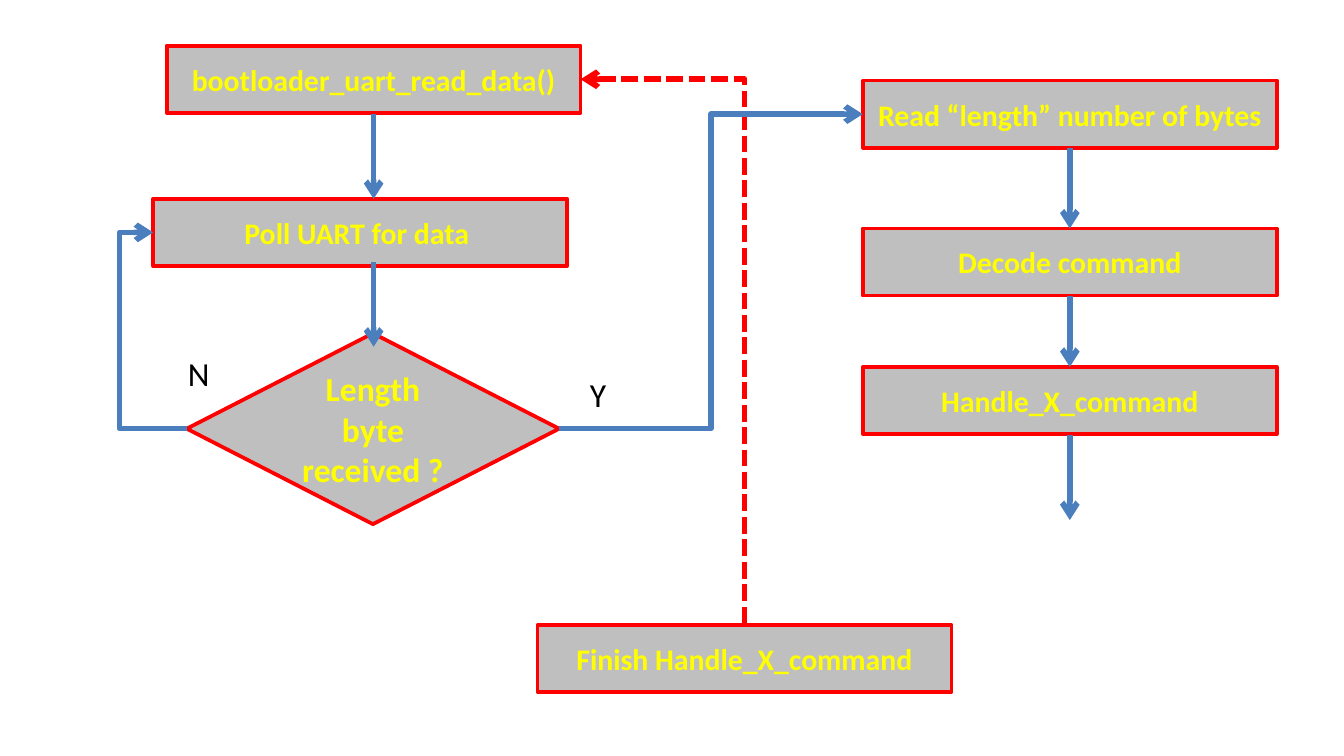
import pptx
import pptx.util
import pptx.dml.color
import pptx.enum.dml
import pptx.enum.shapes
import pptx.enum.text
from pptx.oxml.ns import qn
from lxml import etree

Inches = pptx.util.Inches
Kind = pptx.enum.shapes.MSO_SHAPE
Link = pptx.enum.shapes.MSO_CONNECTOR
Align = pptx.enum.text.PP_ALIGN

THEME = dict(font="Calibri", fill="BFBFBF", edge="FF0000", ink="FFFF00",
             flow="4B7EBC", back="FF0000", label="000000",
             small=16, large=18, border=2, stroke=3)
WIDE, HIGH = 3.08, 0.5

# name: (text, left, top)
STEPS = {
    "start": ("bootloader_uart_read_data()", 1.24, 0.34),
    "poll": ("Poll UART for data ", 1.14, 1.48),
    "read": ("Read “length” number of bytes", 6.42, 0.6),
    "decode": ("Decode command", 6.42, 1.7),
    "handle": ("Handle_X_command", 6.42, 2.73),
    "finish": ("Finish Handle_X_command", 4, 4.65),
}
TEST = ("Length byte received ?", 1.39, 2.48, 2.77, 1.42)
LABELS = [("Y", 4.29, 2.73, 0.32), ("N", 1.3, 2.58, 0.36)]


def color(name):
    return pptx.dml.color.RGBColor.from_string(THEME[name])


def write(frame, text, size="large", ink="label", bold=False, align=Align.LEFT):
    par = frame.paragraphs[0]
    par.alignment = align
    run = par.add_run()
    run.text = text
    run.font.name = THEME["font"]
    run.font.size = pptx.util.Pt(THEME[size])
    run.font.bold = bold
    run.font.color.rgb = color(ink)


def add_node(kind, text, box, size):
    node = slide.shapes.add_shape(kind, *map(Inches, box))
    node.shadow.inherit = False
    node.fill.solid()
    node.fill.fore_color.rgb = color("fill")
    node.line.color.rgb = color("edge")
    node.line.width = pptx.util.Pt(THEME["border"])
    write(node.text_frame, text, size, "ink", True, Align.CENTER)


def add_arrow(start, end, kind=Link.STRAIGHT, ink="flow", dash=None, tip="tailEnd"):
    link = slide.shapes.add_connector(kind, *map(Inches, start + end))
    link.line.color.rgb = color(ink)
    link.line.width = pptx.util.Pt(THEME["stroke"])
    if dash:
        link.line.dash_style = dash
    props = link._element.spPr
    etree.SubElement(props.find(qn("a:ln")), qn("a:" + tip), type="arrow")
    etree.SubElement(props, qn("a:effectLst"))
    return link


def bend(link, preset, ratio=None):
    """Choose the elbow preset and where its middle leg lies."""
    geom = link._element.spPr.find(qn("a:prstGeom"))
    geom.set("prst", preset)
    if ratio is not None:
        etree.SubElement(geom.find(qn("a:avLst")), qn("a:gd"),
                         name="adj1", fmla=f"val {round(ratio * 100000)}")


def side(name, across, down):
    """Point on a step, as fractions of its width and height."""
    _, left, top = STEPS[name]
    return left + across * WIDE, top + down * HIGH


deck = pptx.Presentation()
deck.slide_width, deck.slide_height = Inches(10), Inches(10 * 9 / 16)
slide = deck.slides.add_slide(deck.slide_layouts[6])

for text, left, top in STEPS.values():
    add_node(Kind.RECTANGLE, text, (left, top, WIDE, HIGH), "small")
text, left, top, wide, high = TEST
add_node(Kind.DIAMOND, text, (left, top, wide, high), "large")
middle = top + high / 2

# Elbow arrows
retry = add_arrow((left, middle), side("poll", 0, 0.5), Link.ELBOW)
bend(retry, "bentConnector3", 2)
loop = add_arrow(side("start", 1, 0.5), side("finish", 0.5, 0), Link.ELBOW, "back",
                 pptx.enum.dml.MSO_LINE.SQUARE_DOT, "headEnd")
bend(loop, "bentConnector2")
add_arrow((left + wide, middle), side("read", 0, 0.5), Link.ELBOW)

# Straight arrows down each column: x, then top and bottom pairs
COLUMNS = [
    (side("start", 0.5, 0)[0], [(0.85, 1.48), (1.95, 2.58)]),
    (side("read", 0.5, 0)[0], [(1.1, 1.7), (2.2, 2.73), (3.24, 3.87)]),
]
for x, spans in COLUMNS:
    for top, bottom in spans:
        add_arrow((x, top), (x, bottom))

for text, left, top, wide in LABELS:
    box = slide.shapes.add_textbox(*map(Inches, (left, top, wide, 0.4)))
    box.text_frame.word_wrap = False
    box.text_frame.auto_size = pptx.enum.text.MSO_AUTO_SIZE.SHAPE_TO_FIT_TEXT
    write(box.text_frame, text)

deck.save("out.pptx")
